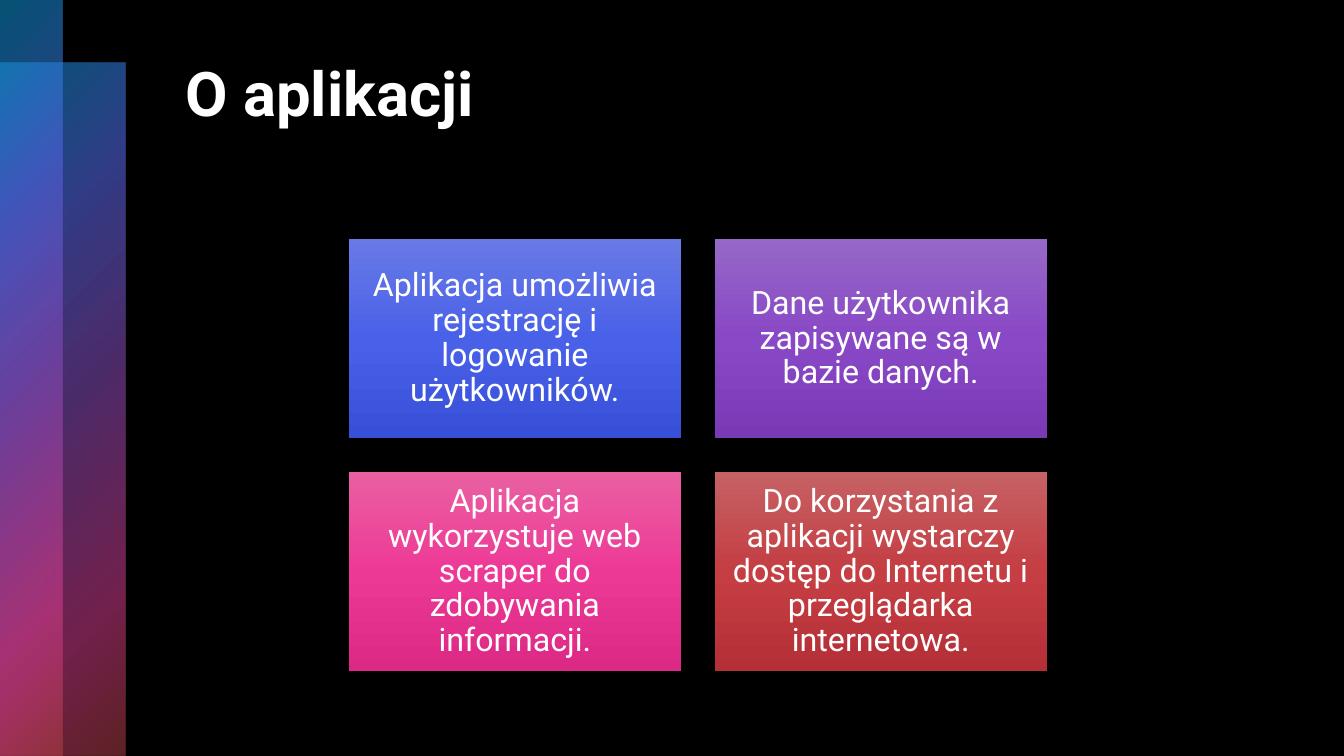
from dataclasses import dataclass

from lxml import etree
from pptx import Presentation
from pptx.dml.color import RGBColor
from pptx.enum import shapes, text
from pptx.oxml import ns
from pptx.util import Cm, Pt


@dataclass(frozen=True)
class Theme:
    font: str = "Roboto"
    title_size: int = 44
    card_size: int = 23
    background: str = "000000"
    ink: str = "FFFFFF"
    # Stops: position %, colour, opacity %
    bar: tuple = ((0, "0BA5E8", 50), (25, "5066E1", 60), (50, "894EC0", 55),
                  (81, "E54196", 50), (99, "BE4449", 50))
    blue: tuple = ((0, "697AE6", 100), (50, "4961E8", 100), (100, "3850D7", 100))
    violet: tuple = ((0, "9668C7", 100), (50, "8948C6", 100), (100, "7A3AB6", 100))
    pink: tuple = ((0, "EA60A2", 100), (50, "ED3996", 100), (100, "DC2986", 100))
    red: tuple = ((0, "C66164", 100), (50, "C43E43", 100), (100, "B53036", 100))


THEME = Theme()
SLIDE_WIDTH, SLIDE_HEIGHT = 33.87, 19.05
CARD_WIDTH, CARD_HEIGHT, CARD_GAP = 8.38, 5.03, 0.84
CARDS_LEFT, CARDS_TOP, COLUMNS = 8.79, 6.02, 2
CARDS = (
    ("Aplikacja umożliwia rejestrację i logowanie użytkowników.", THEME.blue),
    ("Dane użytkownika zapisywane są w bazie danych.", THEME.violet),
    ("Aplikacja wykorzystuje web scraper do zdobywania informacji.", THEME.pink),
    ("Do korzystania z aplikacji wystarczy dostęp do Internetu i przeglądarka "
     "internetowa.", THEME.red),
)


def apply_gradient(shape, stops, radial):
    """Fill with stops running out from the top left corner, or straight down."""
    def add(parent, tag, **attributes):
        return etree.SubElement(parent, ns.qn(tag), attributes)

    shape.fill.gradient()
    gradient = shape.fill._xPr.find(ns.qn("a:gradFill"))
    for child in list(gradient):
        gradient.remove(child)
    stop_list = add(gradient, "a:gsLst")
    for position, colour, opacity in stops:
        stop = add(stop_list, "a:gs", pos=str(position * 1000))
        rgb = add(stop, "a:srgbClr", val=colour)
        if opacity < 100:
            add(rgb, "a:alpha", val=str(opacity * 1000))
    if radial:
        direction = add(gradient, "a:path", path="circle")
        add(direction, "a:fillToRect", r="100000", b="100000")
    else:
        add(gradient, "a:lin", ang="5400000", scaled="0")


def add_panel(slide, left, top, width, height, stops, radial=False):
    panel = slide.shapes.add_shape(shapes.MSO_SHAPE.RECTANGLE, Cm(left), Cm(top),
                                   Cm(width), Cm(height))
    panel.shadow.inherit = False
    panel.line.fill.background()
    apply_gradient(panel, stops, radial)
    return panel


def write(frame, wording, size, bold=False):
    frame.word_wrap = True
    paragraph = frame.paragraphs[0]
    paragraph.text = wording
    paragraph.font.name = THEME.font
    paragraph.font.size = Pt(size)
    paragraph.font.bold = bold
    paragraph.font.color.rgb = RGBColor.from_string(THEME.ink)
    return paragraph


def add_title(slide, wording):
    title = slide.shapes.add_textbox(Cm(4.42), Cm(1.27), Cm(26.34), Cm(4.32))
    write(title.text_frame, wording, THEME.title_size, bold=True)


def add_card(slide, index, wording, stops):
    row, column = divmod(index, COLUMNS)
    card = add_panel(slide, CARDS_LEFT + column * (CARD_WIDTH + CARD_GAP),
                     CARDS_TOP + row * (CARD_HEIGHT + CARD_GAP),
                     CARD_WIDTH, CARD_HEIGHT, stops)
    frame = card.text_frame
    frame.margin_left = frame.margin_right = Cm(0.25)
    frame.margin_top = frame.margin_bottom = Cm(0.25)
    frame.vertical_anchor = text.MSO_ANCHOR.MIDDLE
    paragraph = write(frame, wording, THEME.card_size)
    paragraph.alignment = text.PP_ALIGN.CENTER
    paragraph.line_spacing = 0.9


def main():
    deck = Presentation()
    deck.slide_width, deck.slide_height = Cm(SLIDE_WIDTH), Cm(SLIDE_HEIGHT)
    slide = deck.slides.add_slide(deck.slide_layouts[6])
    backdrop = slide.background.fill
    backdrop.solid()
    backdrop.fore_color.rgb = RGBColor.from_string(THEME.background)

    bar_top = 1.57
    add_panel(slide, 0, bar_top, 3.16, SLIDE_HEIGHT - bar_top, THEME.bar, radial=True)
    add_panel(slide, 0, 0, 1.58, SLIDE_HEIGHT, THEME.bar, radial=True)
    add_title(slide, "O aplikacji")
    for index, (wording, stops) in enumerate(CARDS):
        add_card(slide, index, wording, stops)
    deck.save("out.pptx")


if __name__ == "__main__":
    main()
